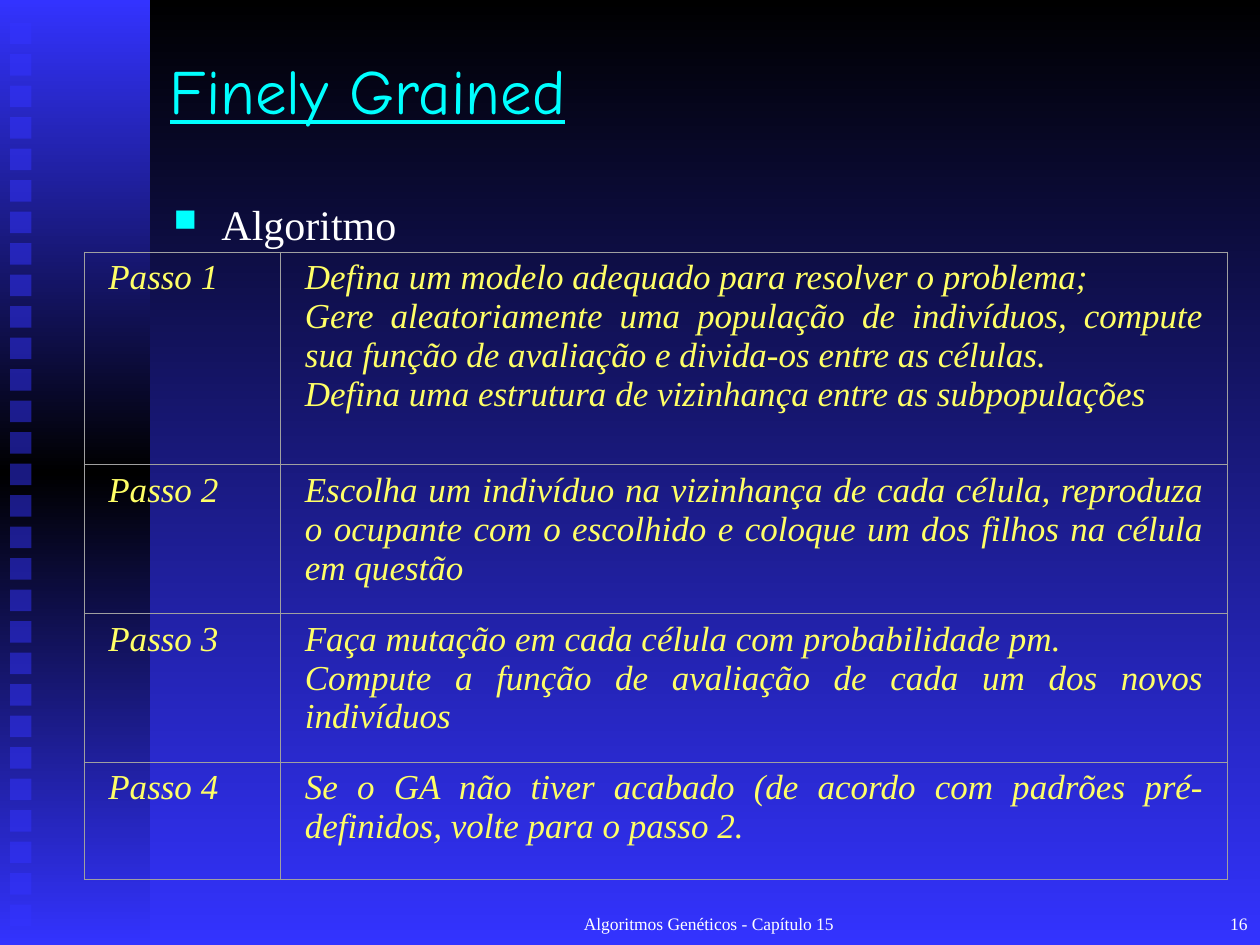
"""Builds the slide on the finely grained genetic algorithm."""
from copy import deepcopy
from lxml import etree
from pptx import Presentation
from pptx.dml.color import RGBColor
from pptx.enum import shapes, text
from pptx.oxml import ns
from pptx.util import Inches, Pt

HUE = {"blue": "3333FF", "black": "000000", "cyan": "00FFFF",
       "white": "FFFFFF", "yellow": "FFFF66", "grey": "A0A0A0"}
SERIF = "Times New Roman"
LEFT, MID, RIGHT = (text.PP_ALIGN.LEFT, text.PP_ALIGN.CENTER, text.PP_ALIGN.RIGHT)
FULL = text.PP_ALIGN.JUSTIFY


def style(para, size, hue, align, face=SERIF):
    para.alignment = align
    font = para.font
    font.size, font.name = Pt(size), face
    font.color.rgb = RGBColor.from_string(HUE[hue])
    return font


def label(words, box, anchor):
    frame = slide.shapes.add_textbox(*map(Inches, box)).text_frame
    frame.word_wrap = True
    frame.vertical_anchor = anchor
    frame.text = words
    return frame.paragraphs[0]


deck = Presentation()
deck.slide_width, deck.slide_height = Inches(10), Inches(7.5)
slide = deck.slides.add_slide(deck.slide_layouts[6])

back = slide.background.fill
back.gradient()
back.gradient_angle = 270
for stop, hue in zip(back.gradient_stops, ("black", "blue")):
    stop.color.rgb = RGBColor.from_string(HUE[hue])

rects = [(0, 0, 1.19, 7.5)]
rects += [(0.08, 0.18 + 0.25 * i, 0.17, 0.17) for i in range(29)]
for n, box in enumerate(rects):
    rect = slide.shapes.add_shape(shapes.MSO_SHAPE.RECTANGLE, *map(Inches, box))
    rect.shadow.inherit = False
    rect.line.fill.background()
    if n:
        rect.fill.solid()
        rect.fill.fore_color.rgb = RGBColor.from_string(HUE["blue"])
        tint = rect._element.spPr.find(".//" + ns.qn("a:srgbClr"))
        etree.SubElement(tint, ns.qn("a:alpha"), val="50000")
    else:
        rect.fill.gradient()
        rect.fill.gradient_angle = 270
        stops = rect._element.spPr.find(".//" + ns.qn("a:gsLst"))
        stops.append(deepcopy(stops[0]))
        for k, stop in enumerate(rect.fill.gradient_stops):
            stop.position = k / 2
            stop.color.rgb = RGBColor.from_string(HUE["black" if k == 1 else "blue"])

title = label("Finely Grained", (1.25, 0.08, 8.5, 1.25), text.MSO_ANCHOR.MIDDLE)
style(title, 36, "cyan", LEFT, "Comic Neue").underline = True

item = label("Algoritmo", (1.28, 1.53, 8.5, 0.47), text.MSO_ANCHOR.TOP)
props = item._p.get_or_add_pPr()
props.set("marL", str(Inches(0.38)))
props.set("indent", str(-Inches(0.38)))
tint = etree.SubElement(props, ns.qn("a:buClr"))
etree.SubElement(tint, ns.qn("a:srgbClr"), val=HUE["cyan"])
etree.SubElement(props, ns.qn("a:buSzPct"), val="75000")
etree.SubElement(props, ns.qn("a:buChar"), char="■")
style(item, 24, "white", FULL)

steps = [
    (1.69, "Defina um modelo adequado para resolver o problema;\n"
     "Gere aleatoriamente uma população de indivíduos, compute sua função de "
     "avaliação e divida-os entre as células.\n"
     "Defina uma estrutura de vizinhança entre as subpopulações"),
    (1.18, "Escolha um indivíduo na vizinhança de cada célula, reproduza o "
     "ocupante com o escolhido e coloque um dos filhos na célula em questão"),
    (1.18, "Faça mutação em cada célula com probabilidade pm.\n"
     "Compute a função de avaliação de cada um dos novos indivíduos"),
    (0.93, "Se o GA não tiver acabado (de acordo com padrões pré-definidos, "
     "volte para o passo 2."),
]
table = slide.shapes.add_table(len(steps), 2, Inches(0.67), Inches(2),
                               Inches(9.07), Inches(4.98)).table
table.first_row = table.horz_banding = False
table.columns[0].width, table.columns[1].width = Inches(1.56), Inches(7.51)
for r, (high, words) in enumerate(steps):
    table.rows[r].height = Inches(high)
    for c, part in enumerate((f"Passo {r + 1}", words)):
        cell = table.cell(r, c)
        cell.margin_left = cell.margin_right = Inches(0.19)
        cell.text = part
        for para in cell.text_frame.paragraphs:
            style(para, 20, "yellow", FULL).italic = True
        props = cell._tc.get_or_add_tcPr()
        for side in "LRTB":
            edge = etree.SubElement(props, ns.qn("a:ln" + side), w=str(Pt(0.62)))
            fill = etree.SubElement(edge, ns.qn("a:solidFill"))
            etree.SubElement(fill, ns.qn("a:srgbClr"), val=HUE["grey"])
        cell.fill.background()

for words, box, align in (
        ("Algoritmos Genéticos - Capítulo 15", (3.92, 7.08, 3.17, 0.5), MID),
        ("16", (7.92, 7.08, 2.08, 0.5), RIGHT)):
    para = label(words, box, text.MSO_ANCHOR.MIDDLE)
    para._p.get_or_add_pPr().set("marL", str(Inches(0.24)))
    style(para, 10, "white", align)

deck.save("out.pptx")
